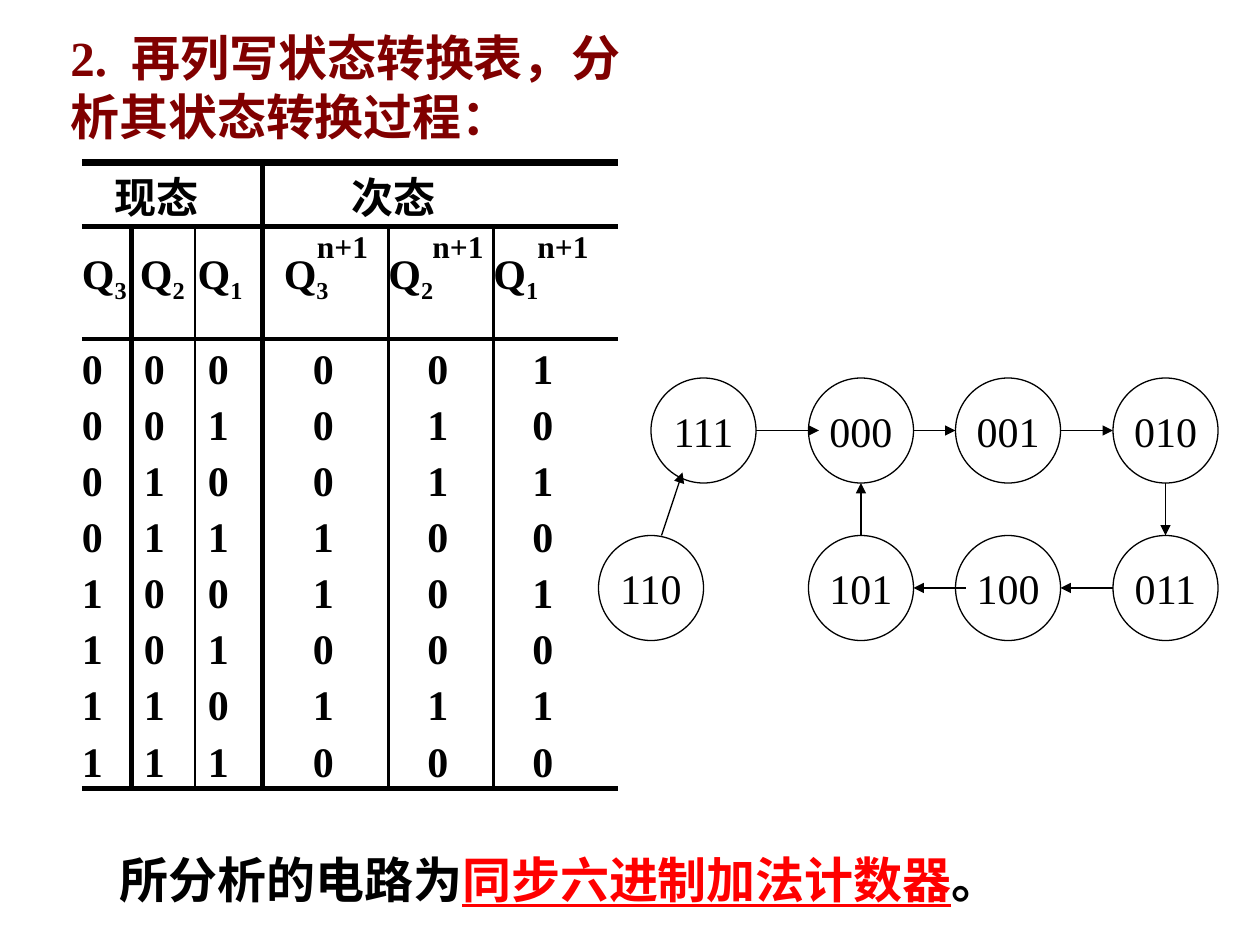
from pptx import Presentation
from pptx.dml.color import RGBColor
from pptx.enum.shapes import MSO_CONNECTOR as LINE, MSO_SHAPE as SHAPE
from pptx.enum.text import MSO_ANCHOR as ANCHOR, MSO_AUTO_SIZE as FIT, PP_ALIGN as ALIGN
from pptx.oxml.ns import qn
from pptx.util import Inches, Pt
from lxml import etree

BLACK = RGBColor(0, 0, 0)
MAROON = RGBColor(0x80, 0, 0)
RED = RGBColor(0xFF, 0, 0)
FONT = "Times New Roman"
NO_TABLE_STYLE = "{2D5ABB26-0587-4C30-8999-92F81FD0307C}"


def grid(*values):
    """Lengths on a grid of 120 columns by 90 rows, 12 to the inch."""
    return [Inches(v / 12) for v in values]


def add_run(p, text, size=24, color=BLACK, bold=True, underline=False, baseline=0):
    r = p.add_run()
    r.text = text
    f = r.font
    f.name, f.size, f.bold, f.underline = FONT, Pt(size), bold, underline
    f.color.rgb = color
    if baseline:
        r._r.get_or_add_rPr().set("baseline", str(baseline * 1000))


class Deck:
    def __init__(self):
        self.prs = Presentation()
        self.prs.slide_width, self.prs.slide_height = grid(120, 90)
        self.slide = self.prs.slides.add_slide(self.prs.slide_layouts[1])
        self.shapes = self.slide.shapes

    def placeholder(self, idx, box, runs):
        sp = self.slide.placeholders[idx]
        sp.left, sp.top, sp.width, sp.height = grid(*box)
        tf = sp.text_frame
        tf.auto_size, tf.vertical_anchor = FIT.NONE, ANCHOR.TOP
        p = tf.paragraphs[0]
        pPr = p._p.get_or_add_pPr()
        pPr.set("marL", "0")
        pPr.set("indent", "0")
        etree.SubElement(pPr, qn("a:buNone"))
        p.alignment, p.space_before = ALIGN.LEFT, Pt(0)
        for text, style in runs:
            add_run(p, text, size=28, **style)

    def label(self, box, text, **style):
        tf = self.shapes.add_textbox(*grid(*box)).text_frame
        tf.word_wrap = True
        add_run(tf.paragraphs[0], text, **style)

    def state(self, x, y, text, size=10):
        sp = self.shapes.add_shape(SHAPE.OVAL, *grid(x, y, size, size))
        sp.shadow.inherit = False
        sp.fill.background()
        sp.line.color.rgb, sp.line.width = BLACK, Pt(0.75)
        tf = sp.text_frame
        tf.word_wrap, tf.vertical_anchor = False, ANCHOR.MIDDLE
        p = tf.paragraphs[0]
        p.alignment = ALIGN.CENTER
        add_run(p, text, bold=False)

    def arrow(self, x1, y1, x2, y2):
        cxn = self.shapes.add_connector(LINE.STRAIGHT, *grid(x1, y1, x2, y2))
        cxn.line.color.rgb, cxn.line.width = BLACK, Pt(0.75)
        etree.SubElement(cxn.line._get_or_add_ln(), qn("a:tailEnd"), type="triangle")
        etree.SubElement(cxn._element.spPr, qn("a:effectLst"))

    def table(self, xs, ys):
        rows, cols = len(ys) - 1, len(xs) - 1
        frame = self.shapes.add_table(
            rows, cols, *grid(xs[0], ys[0], xs[-1] - xs[0], ys[-1] - ys[0]))
        tbl = frame.table
        tbl.first_row = tbl.horz_banding = False
        tbl._tbl.tblPr.find(qn("a:tableStyleId")).text = NO_TABLE_STYLE
        for c in range(cols):
            tbl.columns[c].width = grid(xs[c + 1] - xs[c])[0]
        for r in range(rows):
            tbl.rows[r].height = grid(ys[r + 1] - ys[r])[0]
        return tbl

    def cell(self, cell, runs, left, top, borders):
        cell.fill.background()
        cell.vertical_anchor = ANCHOR.TOP
        cell.margin_left, cell.margin_top = Inches(left), Inches(top)
        cell.margin_right = cell.margin_bottom = 0
        for text, style in runs:
            add_run(cell.text_frame.paragraphs[0], text, **style)
        tcPr = cell._tc.get_or_add_tcPr()
        for i, (side, width) in enumerate(zip("LRTB", borders)):
            ln = etree.Element(qn(f"a:ln{side}"), w=str(Pt(width)))
            if width:
                fill = etree.SubElement(ln, qn("a:solidFill"))
                etree.SubElement(fill, qn("a:srgbClr"), val=str(BLACK))
            else:
                etree.SubElement(ln, qn("a:noFill"))
            tcPr.insert(i, ln)


def transition_table(deck):
    states = ["000001", "001010", "010011", "011100",
              "100101", "101000", "110111", "111000"]
    xs = [7.8, 12.5, 18.6, 25, 37, 47, 58.9]
    first, last = 32.3, 75.1
    step = (last - first) / len(states)
    ys = [15.5, 21.6] + [first + step * i for i in range(len(states) + 1)]
    v_rules = [0, 3, 1.5, 3, 1.5, 1.5, 0]
    h_rules = [4.5, 3, 3] + [0] * (len(states) - 1) + [3]
    tbl = deck.table(xs, ys)

    # Group headings
    for c, text, left in [(0, "现态", 0.26), (3, "次态", 0.71)]:
        tbl.cell(0, c).merge(tbl.cell(0, c + 2))
        deck.cell(tbl.cell(0, c), [(text, {})], left, 0.02,
                  [v_rules[c], v_rules[c + 3], *h_rules[:2]])

    # Variable names, then one row for each state
    names = [[("Q", {}), (n, {"baseline": -25})] for n in "321321"]
    digits = [[[(d, {})] for d in state] for state in states]
    name_left = [0, 0.07, 0.02, 0.17, 0, 0]
    digit_left = [0, 0.1, 0.1, 0.4, 0.31, 0.31]
    for r, row in enumerate([names] + digits, 1):
        lefts, top = (name_left, 0.2) if r == 1 else (digit_left, 0.06)
        for c, runs in enumerate(row):
            deck.cell(tbl.cell(r, c), runs, lefts[c], top,
                      v_rules[c:c + 2] + h_rules[r:r + 2])

    # Next-state superscripts
    for x in (29, 40, 50):
        deck.label((x, 21, 9, 4.8), "n+1", size=18)


def state_diagram(deck):
    upper, lower = 36, 51
    for y, row in [(upper, {62: "111", 77: "000", 91: "001", 106: "010"}),
                   (lower, {57: "110", 77: "101", 91: "100", 106: "011"})]:
        for x, text in row.items():
            deck.state(x, y, text)
    for x1, x2 in [(72, 78), (87, 91), (101, 106)]:
        deck.arrow(x1, upper + 5, x2, upper + 5)
    for x1, x2 in [(106, 101), (92, 87)]:
        deck.arrow(x1, lower + 5, x2, lower + 5)
    deck.arrow(111, upper + 10, 111, lower)
    deck.arrow(82, lower, 82, upper + 10)
    deck.arrow(63, lower, 65, 45)


def main():
    deck = Deck()
    # Title and conclusion
    deck.placeholder(0, (5.5, 2, 58.6, 12.4),
                     [("2.  再列写状态转换表，分析其状态转换过程：", {"color": MAROON})])
    deck.placeholder(1, (10.2, 80.3, 100, 6.8),
                     [("所分析的电路为", {}),
                      ("同步六进制加法计数器", {"color": RED, "underline": True}),
                      ("。", {})])
    transition_table(deck)
    state_diagram(deck)
    deck.prs.save("out.pptx")


if __name__ == "__main__":
    main()
